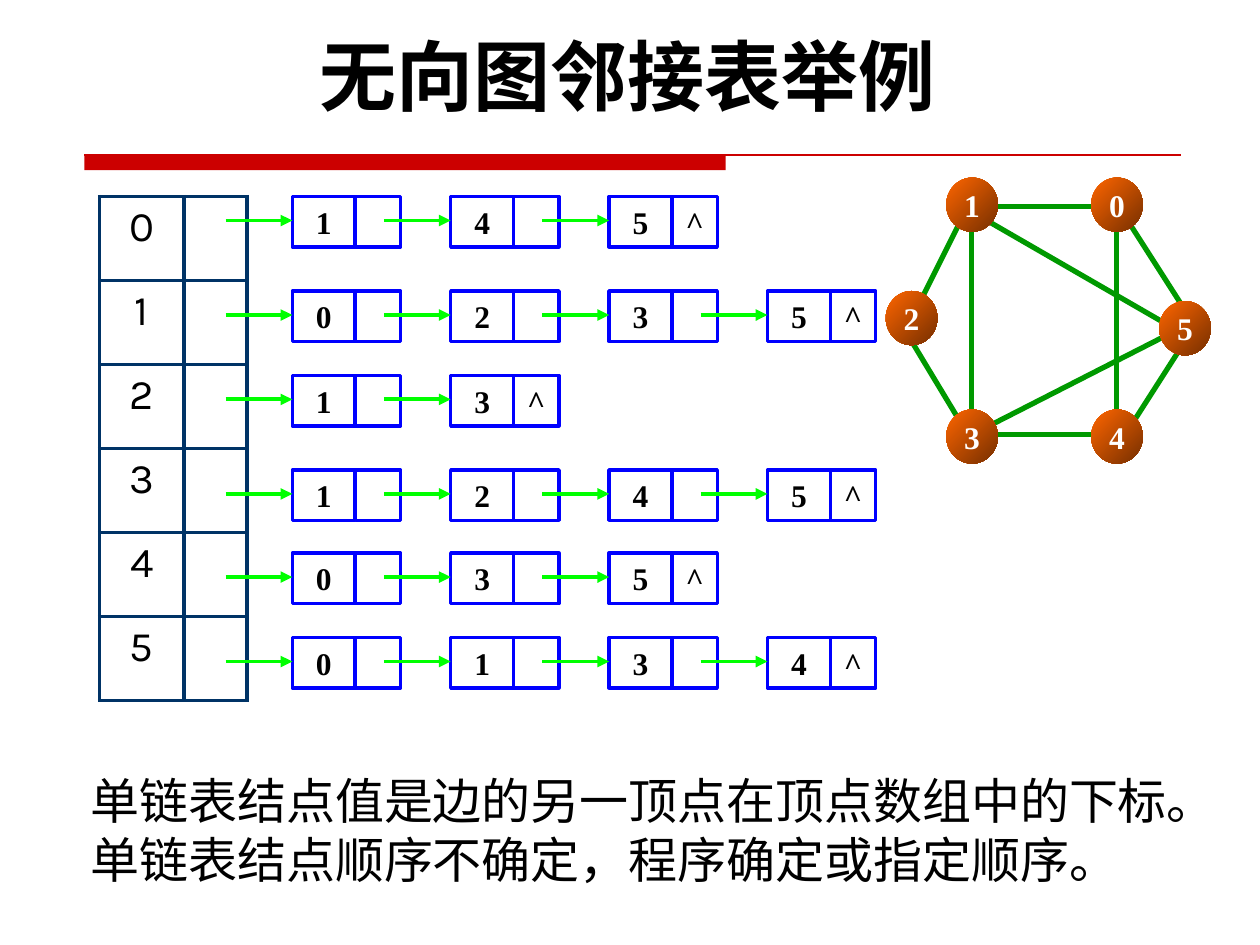
from typing import NamedTuple

import pptx
import pptx.dml.color
import pptx.enum.shapes
import pptx.enum.text
import pptx.oxml
import pptx.oxml.ns
import pptx.util
from pptx.util import Inches

SHAPES = pptx.enum.shapes.MSO_SHAPE
ALIGN = pptx.enum.text.PP_ALIGN
ANCHOR = pptx.enum.text.MSO_ANCHOR
SERIF = "Times New Roman"
CJK = "Noto Sans CJK SC"


class Vertex(NamedTuple):
    label: str
    left: float
    top: float


class Edge(NamedTuple):
    x1: float
    y1: float
    x2: float
    y2: float


class ListRow(NamedTuple):
    top: float
    values: str


VERTICES = [
    Vertex("1", 7.51, 1.41), Vertex("3", 7.51, 3.25), Vertex("2", 7.03, 2.31),
    Vertex("5", 9.2, 2.39), Vertex("4", 8.66, 3.25), Vertex("0", 8.66, 1.41),
]
EDGES = [
    Edge(8.73, 1.64, 7.91, 1.64), Edge(8.86, 1.79, 8.86, 3.3),
    Edge(8.93, 1.72, 9.41, 2.47), Edge(7.64, 1.72, 7.3, 2.4),
    Edge(7.71, 3.38, 7.71, 1.79), Edge(9.34, 2.62, 7.78, 1.72),
    Edge(7.64, 3.38, 7.23, 2.7), Edge(8.8, 3.45, 7.78, 3.45),
    Edge(9.34, 2.62, 7.85, 3.38), Edge(9.41, 2.7, 8.93, 3.45),
]
LIST_ROWS = [
    ListRow(1.56, "145"), ListRow(2.31, "0235"), ListRow(2.98, "13"),
    ListRow(3.73, "1245"), ListRow(4.39, "035"), ListRow(5.06, "0134"),
]
FIRST_NODE_LEFT, NODE_STEP = 2.32, 1.257
VALUE_WIDTH, POINTER_WIDTH, NODE_HEIGHT = 0.5, 0.36, 0.4
ARROW_LENGTH, ARROW_DROP = 0.53, 0.19


def color(value: str) -> pptx.dml.color.RGBColor:
    return pptx.dml.color.RGBColor.from_string(value)


def xml(content: str):
    """Parse an element whose first tag belongs to the drawing namespace."""
    tag, rest = content[:-2].split(" ", 1) if " " in content else (content[:-2], "")
    return pptx.oxml.parse_xml(f'{tag} {pptx.oxml.ns.nsdecls("a")} {rest}/>')


def write(frame, text: str, *, size: float, font: str = SERIF, fill: str = "000000",
          bold: bool = False, align=ALIGN.CENTER) -> None:
    paragraph = frame.paragraphs[0]
    paragraph.alignment = align
    run = paragraph.add_run()
    run.text = text
    run.font.size = pptx.util.Pt(size)
    run.font.name = font
    run.font.bold = bold
    run.font.color.rgb = color(fill)
    if font != SERIF:
        run.font._element.append(xml(f'<a:ea typeface="{CJK}"/>'))


def add_line(slide, edge: Edge, stroke: str, width: float, arrow: bool = False) -> None:
    line = slide.shapes.add_connector(
        pptx.enum.shapes.MSO_CONNECTOR.STRAIGHT, *(Inches(value) for value in edge))
    line.line.color.rgb = color(stroke)
    line.line.width = pptx.util.Pt(width)
    if arrow:
        line.line._get_or_add_ln().append(xml('<a:tailEnd type="triangle"/>'))
    line._element.spPr.append(xml("<a:effectLst/>"))


def add_shape(slide, kind, left: float, top: float, width: float, height: float):
    shape = slide.shapes.add_shape(
        kind, Inches(left), Inches(top), Inches(width), Inches(height))
    shape.shadow.inherit = False
    return shape


def add_box(slide, left: float, top: float, width: float, text: str = "") -> None:
    box = add_shape(slide, SHAPES.RECTANGLE, left, top, width, NODE_HEIGHT)
    box.fill.background()
    box.line.color.rgb = color("0000FF")
    box.line.width = pptx.util.Pt(2)
    box.text_frame.vertical_anchor = ANCHOR.TOP
    if text:
        write(box.text_frame, text, size=18, bold=True)


def add_vertex(slide, vertex: Vertex) -> None:
    circle = add_shape(slide, SHAPES.OVAL, vertex.left, vertex.top, 0.41, 0.43)
    circle.line.fill.background()
    circle.fill.gradient()
    circle.fill.gradient_angle = 315
    for stop, position, shade in zip(circle.fill.gradient_stops, (0, 1), ("FF6600", "762F00")):
        stop.position = position
        stop.color.rgb = color(shade)
    frame = circle.text_frame
    frame.margin_left = frame.margin_right = 0
    frame.word_wrap = False
    frame.vertical_anchor = ANCHOR.MIDDLE
    write(frame, vertex.label, size=18, fill="FFFFFF", bold=True)


def add_linked_list(slide, row: ListRow) -> None:
    lefts = [FIRST_NODE_LEFT + index * NODE_STEP for index in range(len(row.values))]
    for index, (left, value) in enumerate(zip(lefts, row.values), start=1):
        add_box(slide, left, row.top, VALUE_WIDTH, value)
        add_box(slide, left + VALUE_WIDTH, row.top, POINTER_WIDTH,
                "^" if index == len(lefts) else "")
    y = row.top + ARROW_DROP
    for left in lefts:
        add_line(slide, Edge(left - ARROW_LENGTH, y, left, y), "00FF00", 2.25, arrow=True)


def add_borders(cell, stroke: str, width: float) -> None:
    properties = cell._tc.get_or_add_tcPr()
    for index, side in enumerate(("lnL", "lnR", "lnT", "lnB")):
        properties.insert(index, pptx.oxml.parse_xml(
            f'<a:{side} {pptx.oxml.ns.nsdecls("a")} w="{pptx.util.Pt(width)}">'
            f'<a:solidFill><a:srgbClr val="{stroke}"/></a:solidFill></a:{side}>'))


def add_vertex_table(slide) -> None:
    count = len(LIST_ROWS)
    table = slide.shapes.add_table(
        count, 2, Inches(0.79), Inches(1.56), Inches(1.17), Inches(4)).table
    table.first_row = table.horz_banding = False
    for column, width in zip(table.columns, (0.67, 0.5)):
        column.width = Inches(width)
    for index in range(count):
        write(table.cell(index, 0).text_frame, str(index), size=24, font="Karla")
    for cell in table.iter_cells():
        cell.fill.background()
        add_borders(cell, "003366", 2.25)


def add_text(slide, left: float, top: float, width: float, height: float,
             text: str, **text_format) -> None:
    box = slide.shapes.add_textbox(Inches(left), Inches(top), Inches(width), Inches(height))
    box.text_frame.word_wrap = True
    write(box.text_frame, text, **text_format)


def main() -> None:
    presentation = pptx.Presentation()
    presentation.slide_width, presentation.slide_height = Inches(10), Inches(7.5)
    slide = presentation.slides.add_slide(presentation.slide_layouts[6])

    bar = add_shape(slide, SHAPES.RECTANGLE, 0.67, 1.23, 5.09, 0.12)
    bar.fill.solid()
    bar.fill.fore_color.rgb = color("CC0000")
    bar.line.fill.background()
    add_line(slide, Edge(0.67, 1.23, 9.37, 1.23), "CC0000", 0.75)

    for edge in EDGES:
        add_line(slide, edge, "009900", 3)
    for vertex in VERTICES:
        add_vertex(slide, vertex)
    add_vertex_table(slide)
    for row in LIST_ROWS:
        add_linked_list(slide, row)

    add_text(slide, 0.36, 0.18, 9.25, 0.84, "无向图邻接表举例",
             size=44, font="Karla", bold=True)
    add_text(slide, 0.62, 6.07, 8.87, 1.04,
             "单链表结点值是边的另一顶点在顶点数组中的下标。"
             "单链表结点顺序不确定，程序确定或指定顺序。",
             size=28, font=CJK, align=ALIGN.LEFT)
    presentation.save("out.pptx")


if __name__ == "__main__":
    main()
